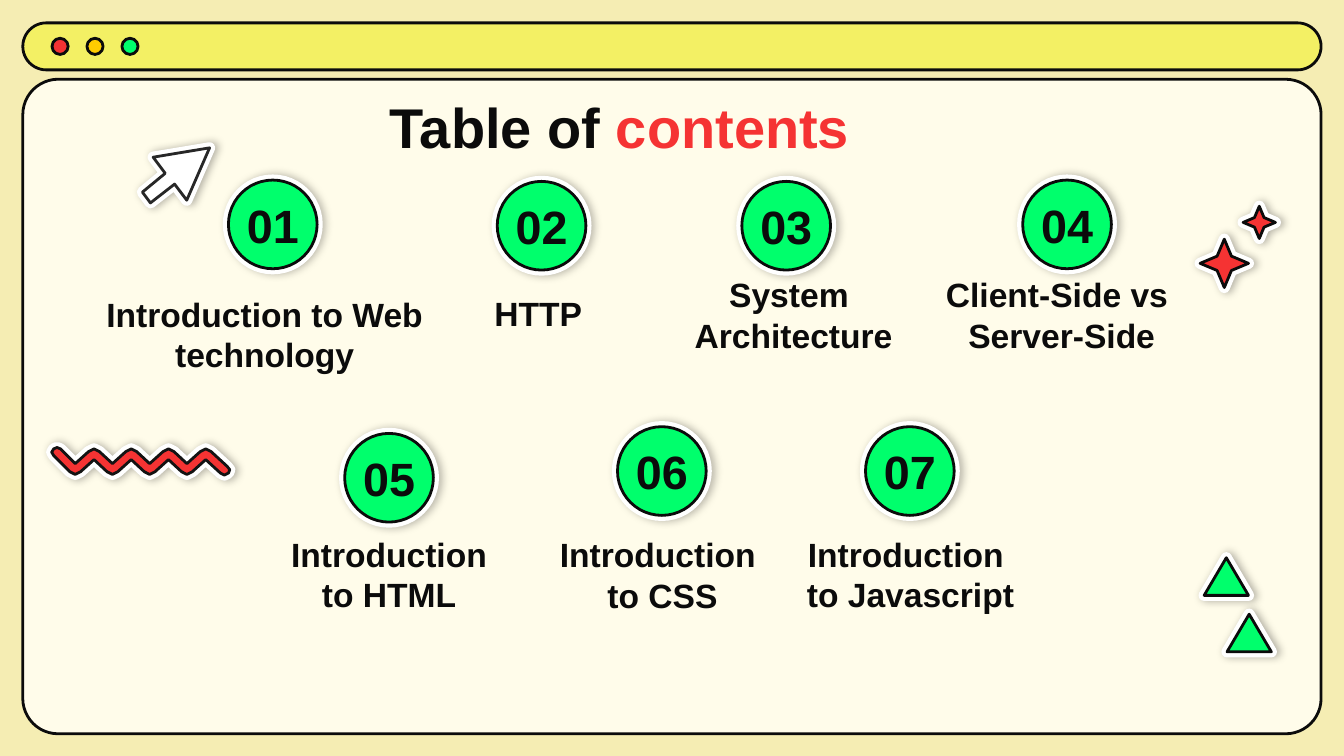
from lxml.etree import SubElement
from pptx import Presentation
from pptx.dml.color import RGBColor
from pptx.enum.shapes import MSO_SHAPE as SHAPE
from pptx.enum.text import MSO_ANCHOR as ANCHOR, PP_ALIGN as ALIGN
from pptx.oxml.ns import qn
from pptx.util import Inches, Pt

COLS, ROWS = 100, 56.25
CELL = Inches(10) // COLS
INK, WHITE, RED, GREEN = "0B0B0B", "FFFFFF", "F53333", "00FF6C"
DISC = 6.6

TOPICS = [
    (17, 13.4, "01", "Introduction to Web technology", (6.9, 21.45, 25.6, 7.4)),
    (37, 13.5, "02", "HTTP", (32.6, 21.1, 14.9, 4.7)),
    (55.2, 13.5, "03", "System \vArchitecture", (49.7, 21.1, 18.7, 6.3)),
    (76.1, 13.4, "04", "Client-Side vs \vServer-Side", (68.8, 20.7, 20.4, 6.7)),
    (25.65, 32.25, "05", "Introduction to HTML", (19.6, 39, 18.7, 7.7)),
    (45.95, 31.75, "06", "Introduction \nto CSS", (39.95, 42.05, 18.7, 4.7)),
    (64.4, 31.75, "07", "Introduction \nto Javascript", (58.4, 42, 18.7, 4.7)),
]
CURSOR = [(13, 13.7), (13.9, 14.9), (15.6, 11), (11.4, 11.7),
          (12.3, 12.9), (10.6, 14.3), (11.2, 15.1)]


def rgb(value):
    """Turn a hex string into a colour."""
    return RGBColor.from_string(value)


def cells(*values):
    """Turn grid columns and rows into lengths."""
    return [round(v * CELL) for v in values]


def paint(sp, fill, line=INK, width=1.5):
    """Give a shape a flat fill and an outline."""
    sp.shadow.inherit = False
    sp.fill.solid()
    sp.fill.fore_color.rgb = rgb(fill)
    sp.line.color.rgb = rgb(line)
    sp.line.width = Pt(width)


def add_shadow(sp, alpha):
    """Cast a soft shadow to the right of a shape."""
    effects = sp._element.spPr.find(qn("a:effectLst"))
    shadow = SubElement(effects, qn("a:outerShdw"), blurRad=str(Pt(4.5)),
                        dist=str(Pt(1.5)), dir="0", algn="bl", rotWithShape="0")
    color = SubElement(shadow, qn("a:srgbClr"), val="000000")
    SubElement(color, qn("a:alpha"), val=str(alpha * 1000))


def add_preset(s, kind, box, adj=None):
    """Add a preset shape on the grid."""
    sp = s.shapes.add_shape(kind, *cells(*box))
    if adj is not None:
        sp.adjustments[0] = adj
    return sp


def add_outline(s, points):
    """Add a closed polygon on the grid."""
    start, *rest = [cells(*point) for point in points]
    builder = s.shapes.build_freeform(*start)
    builder.add_line_segments(rest, close=True)
    return builder.convert_to_shape()


def add_sticker(draw, fill, line=INK, alpha=29):
    """Draw a shape over its own white, shadowed border."""
    border = draw()
    paint(border, WHITE, WHITE, 6)
    add_shadow(border, alpha)
    paint(draw(), fill, line)


def add_text(s, box, text, size, anchor, accent=""):
    """Add centred bold text, with an optional red ending."""
    tf = s.shapes.add_textbox(*cells(*box)).text_frame
    tf.word_wrap = True
    tf.vertical_anchor = anchor
    tf.margin_left = tf.margin_right = tf.margin_top = tf.margin_bottom = CELL
    tf.text = text
    for p in tf.paragraphs:
        p.alignment = ALIGN.CENTER
        p.font.name, p.font.size, p.font.bold = "Arial", Pt(size), True
        p.font.color.rgb = rgb(INK)
    if accent:
        r = tf.paragraphs[-1].add_run()
        r.text = accent
        r.font.color.rgb = rgb(RED)


def add_window(s):
    """Add the browser bar, its buttons and the page."""
    paint(add_preset(s, SHAPE.ROUNDED_RECTANGLE, (1.7, 1.7, 96.6, 3.5), 0.5), "F3F064")
    for i, fill in enumerate((RED, "FFCC00", GREEN)):
        paint(add_preset(s, SHAPE.OVAL, (3.87 + 2.6 * i, 2.85, 1.2, 1.2)), fill)
    paint(add_preset(s, SHAPE.ROUNDED_RECTANGLE, (1.7, 5.9, 96.6, 48.7), 0.054), "FFFCEA")


def add_topic(s, left, top, number, label, label_box):
    """Add a numbered disc and its label."""
    add_sticker(lambda: add_preset(s, SHAPE.OVAL, (left, top, DISC, DISC)), GREEN, alpha=26)
    add_text(s, (left, top + 0.7, DISC, 5.2), number, 25, ANCHOR.MIDDLE)
    add_text(s, label_box, label, 18, ANCHOR.BOTTOM)


def zigzag_points():
    """Trace the upper edge of the zigzag forwards and the lower edge back."""
    peaks = [7 + 2.77 * i for i in range(4)]
    points = [(4, 33.9), (3.85, 33.65), (4, 33.4), (4.25, 33.3), (4.5, 33.4)]
    for x in peaks:
        points += [(x - 1.4, 34.5), (x - 0.4, 33.6), (x, 33.4), (x + 0.4, 33.6)]
    points += [(16.9, 34.7), (17.1, 34.95), (17, 35.2), (16.7, 35.35), (16.4, 35.2)]
    for x in reversed(peaks):
        points += [(x, 34.2), (x - 1, 35.1), (x - 1.4, 35.3), (x - 1.8, 35.1)]
    return points


def add_decorations(s):
    """Add the triangles, cursor, zigzag and stars."""
    for box in ((89.6, 41.5, 3.3, 2.8), (91.3, 45.7, 3.3, 2.8)):
        add_sticker(lambda: add_preset(s, SHAPE.ISOSCELES_TRIANGLE, box), GREEN)
    add_sticker(lambda: add_outline(s, CURSOR), WHITE, "272727")
    add_sticker(lambda: add_outline(s, zigzag_points()), RED, "131313")
    for box in ((89.3, 17.8, 3.6, 3.6), (92.5, 15.35, 2.4, 2.4)):
        add_sticker(lambda: add_preset(s, SHAPE.STAR_4_POINT, box, 0.21), RED)


def main():
    """Build the contents slide."""
    prs = Presentation()
    prs.slide_width, prs.slide_height = cells(COLS, ROWS)
    s = prs.slides.add_slide(prs.slide_layouts[6])
    s.background.fill.solid()
    s.background.fill.fore_color.rgb = rgb("F5EDB3")
    add_window(s)
    add_text(s, (25.9, 5.9, 40.4, 6.3), "Table of ", 30, ANCHOR.TOP, "contents")
    for topic in TOPICS:
        add_topic(s, *topic)
    add_decorations(s)
    prs.save("out.pptx")


if __name__ == "__main__":
    main()
